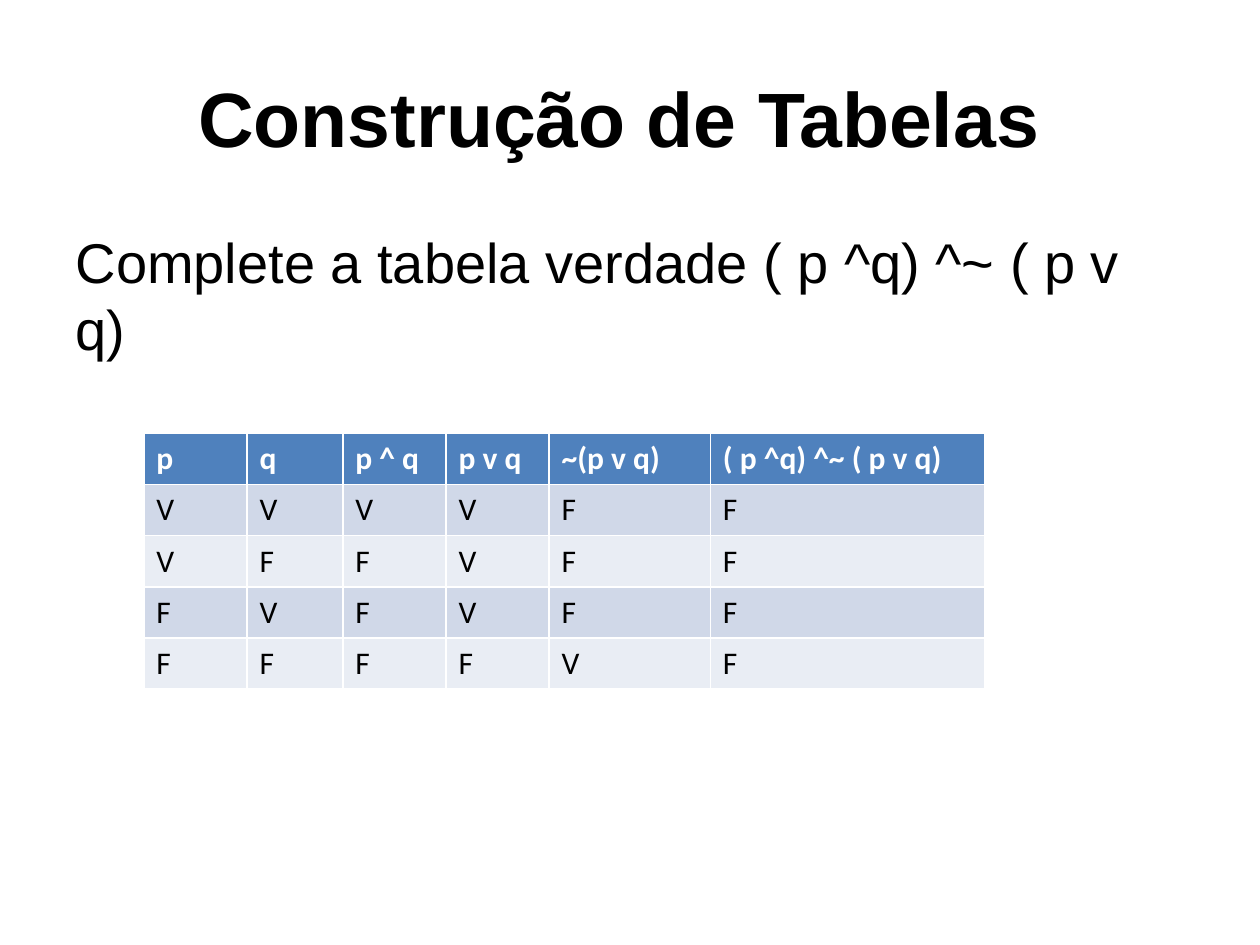
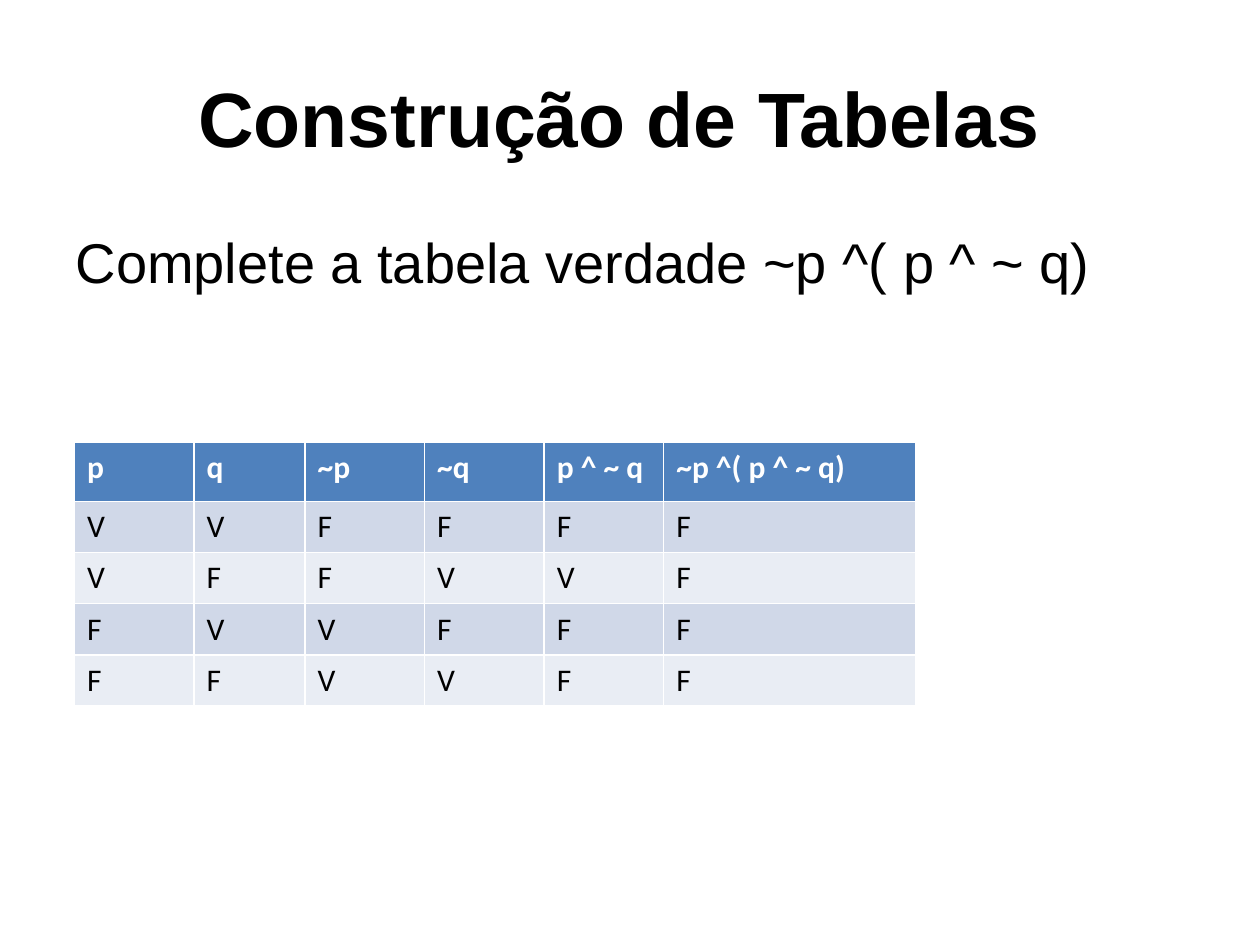
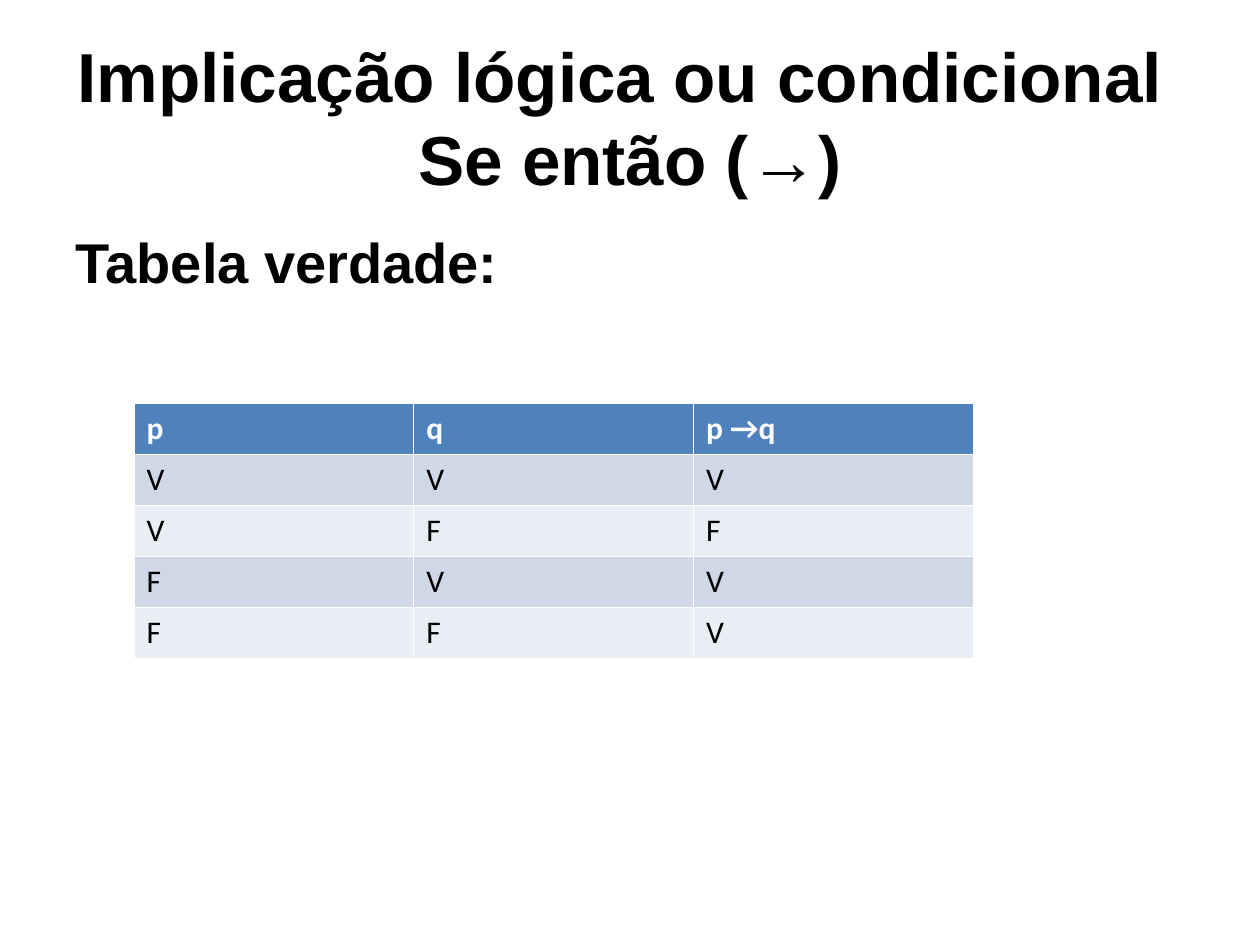
from pptx import Presentation
from pptx.dml.color import RGBColor
from pptx.enum.text import MSO_ANCHOR, MSO_AUTO_SIZE, PP_ALIGN
from pptx.oxml.ns import qn
from pptx.util import Cm, Pt

BLACK, WHITE = "000000", "FFFFFF"
HEADER, BANDS = "4F81BD", ("E9EDF4", "D0D8E8")
ROW_H = 1.03
P, Q = "VVFF", "VFVF"

SLIDES = [
    {
        "title": [["Construção de Tabelas "]], "title_size": 44,
        "body": "Complete a tabela verdade ( p ^q) ^~ ( p v q)", "bold": False,
        "left": 2.9, "top": 8.74, "header_h": ROW_H,
        "columns": [
            ("p", 2.08, P), ("q", 1.93, Q), ("p ^ q", 2.08, "VFFF"),
            ("p v q", 2.08, "VVVF"), ("~(p v q)", 3.25, "FFFV"),
            ("( p ^q) ^~ ( p v q)", 5.54, "FFFF"),
        ],
    },
    {
        "title": [["Construção de Tabelas "]], "title_size": 44,
        "body": "Complete a tabela verdade ~p ^( p ^ ~ q)", "bold": False,
        "left": 1.5, "top": 8.92, "header_h": 1.19,
        "columns": [
            ("p", 2.41, P), ("q", 2.24, Q), ("~p", 2.41, "FFVV"),
            ("~q", 2.41, "FVFV"), ("p ^ ~ q", 2.41, "FVFF"),
            ("~p ^( p ^ ~ q)", 5.08, "FFFF"),
        ],
    },
    {
        "title": [["Implicação lógica ou condicional "], ["Se então (", "→", ")"]],
        "title_size": 39.6,
        "body": "Tabela verdade:", "bold": True,
        "left": 2.7, "top": 8.13, "header_h": ROW_H,
        "columns": [("p", 5.64, P), ("q", 5.64, Q), ("p →q", 5.64, "VFVV")],
    },
]


def rgb(value):
    return RGBColor.from_string(value)


def set_font(p, name, size, color, bold):
    p.font.name = name
    p.font.size = Pt(size)
    p.font.bold = bold
    p.font.color.rgb = rgb(color)


prs = Presentation()
prs.slide_width, prs.slide_height = Cm(25.4), Cm(19.05)

for data in SLIDES:
    s = prs.slides.add_slide(prs.slide_layouts[1])
    title, body = s.placeholders
    for sp, top, height in ((title, 0.76, 3.18), (body, 4.45, 12.27)):
        sp.left, sp.top, sp.width, sp.height = Cm(1.27), Cm(top), Cm(22.86), Cm(height)
        sp.text_frame.auto_size = MSO_AUTO_SIZE.NONE

    title.text_frame.vertical_anchor = MSO_ANCHOR.MIDDLE
    p = title.text_frame.paragraphs[0]
    p.alignment = PP_ALIGN.CENTER
    set_font(p, "Arial", data["title_size"], BLACK, True)
    for i, line in enumerate(data["title"]):
        if i:
            p.add_line_break()
        for text in line:
            r = p.add_run()
            r.text = text
            if text == "→":
                r.font.bold = False

    p = body.text_frame.paragraphs[0]
    p.text = data["body"]
    set_font(p, "Arial", 32, BLACK, data["bold"])
    pPr = p._p.get_or_add_pPr()
    pPr.set("marL", "0")
    pPr.set("indent", "0")
    pPr.insert(0, pPr.makeelement(qn("a:buNone"), {}))

    columns = data["columns"]
    heights = [data["header_h"]] + [ROW_H] * 4
    width = sum(w for _, w, _ in columns)
    table = s.shapes.add_table(
        len(heights), len(columns), Cm(data["left"]), Cm(data["top"]),
        Cm(width), Cm(sum(heights)),
    ).table
    for row, height in zip(table.rows, heights):
        row.height = Cm(height)
    for c, (header, w, values) in enumerate(columns):
        table.columns[c].width = Cm(w)
        for n, text in enumerate([header, *values]):
            cell = table.cell(n, c)
            cell.fill.solid()
            cell.fill.fore_color.rgb = rgb(BANDS[n % 2] if n else HEADER)
            p = cell.text_frame.paragraphs[0]
            p.text = text
            set_font(p, "Calibri", 18, BLACK if n else WHITE, n == 0)

prs.save("out.pptx")
